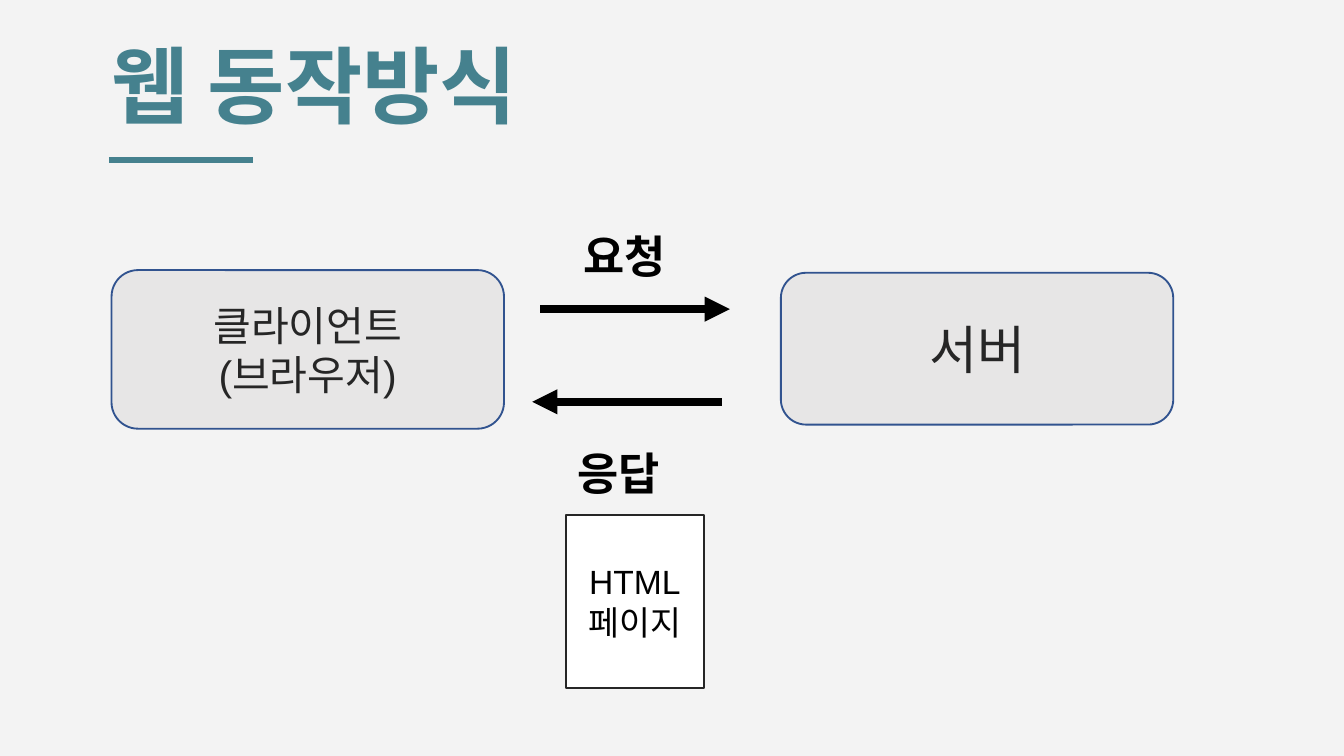
from lxml.etree import SubElement
from pptx import Presentation
from pptx.dml.color import RGBColor
from pptx.enum.shapes import MSO_CONNECTOR, MSO_SHAPE
from pptx.enum.text import MSO_ANCHOR, MSO_AUTO_SIZE, PP_ALIGN
from pptx.oxml.ns import qn
from pptx.util import Inches, Pt

# Content
TEAL, BLACK, DARK = "45818E", "000000", "262626"
TITLE, TITLE_FONT = "웹 동작방식", "Noto Sans CJK KR"

# lines, (left, top, width, height), preset, fill, outline, text size, text colour
BOXES = [
    (["클라이언트", "(브라우저)"], (0.83, 2.01, 2.92, 1.18),
     MSO_SHAPE.ROUNDED_RECTANGLE, "E7E6E6", "31538F", 22, DARK),
    (["서버"], (5.81, 2.03, 2.92, 1.13),
     MSO_SHAPE.ROUNDED_RECTANGLE, "E7E6E6", "31538F", 28, DARK),
    (["HTML", "페이지"], (4.21, 3.83, 1.03, 1.29),
     MSO_SHAPE.RECTANGLE, "FFFFFF", DARK, 18, BLACK),
]
# start x, end x, y
ARROWS = [(4.02, 5.43, 2.3), (5.37, 3.96, 2.99)]
# text, left, top
LABELS = [("요청", 4.24, 1.65), ("응답", 4.2, 3.27)]


def color(hex_string):
    return RGBColor.from_string(hex_string)


def style(paragraph, font_name, size, hex_string, bold=False):
    font = paragraph.font
    font.name, font.size, font.bold = font_name, Pt(size), bold
    font.color.rgb = color(hex_string)


def add_line(slide, start_x, end_x, y, hex_string, width, arrow=False):
    line = slide.shapes.add_connector(
        MSO_CONNECTOR.STRAIGHT, Inches(start_x), Inches(y), Inches(end_x), Inches(y))
    line.line.color.rgb = color(hex_string)
    line.line.width = Pt(width)
    properties = line._element.spPr
    if arrow:
        SubElement(properties.find(qn("a:ln")), qn("a:tailEnd"), type="triangle")
    SubElement(properties, qn("a:effectLst"))


def add_box(slide, lines, place, preset, fill, outline, size, text_color):
    box = slide.shapes.add_shape(preset, *map(Inches, place))
    box.shadow.inherit = False
    box.fill.solid()
    box.fill.fore_color.rgb = color(fill)
    box.line.color.rgb = color(outline)
    box.line.width = Pt(1)
    frame = box.text_frame
    frame.vertical_anchor = MSO_ANCHOR.MIDDLE
    frame.text = "\n".join(lines)
    for paragraph in frame.paragraphs:
        paragraph.alignment = PP_ALIGN.CENTER
        style(paragraph, "Arial", size, text_color)


def add_label(slide, text, left, top):
    label = slide.shapes.add_textbox(Inches(left), Inches(top), Inches(1.13), Inches(0.5))
    frame = label.text_frame
    frame.word_wrap = True
    frame.auto_size = MSO_AUTO_SIZE.SHAPE_TO_FIT_TEXT
    frame.text = text
    style(frame.paragraphs[0], "Calibri", 24, BLACK, bold=True)


def add_title(slide):
    title = slide.shapes.title
    title.left, title.top, title.width, title.height = map(Inches, (0.73, 0.15, 7.5, 0.84))
    frame = title.text_frame
    frame.text = TITLE
    frame.auto_size = MSO_AUTO_SIZE.NONE
    frame.vertical_anchor = MSO_ANCHOR.TOP
    frame.margin_left = frame.margin_right = Inches(0.1)
    frame.margin_top = frame.margin_bottom = Inches(0.1)
    paragraph = frame.paragraphs[0]
    paragraph.alignment = PP_ALIGN.LEFT
    style(paragraph, TITLE_FONT, 45, TEAL, bold=True)
    # East Asian typeface for the Korean letters
    SubElement(paragraph.font._element, qn("a:ea"), typeface=TITLE_FONT)


def main():
    presentation = Presentation()
    presentation.slide_width = Inches(10)
    presentation.slide_height = Inches(10 * 9 / 16)
    slide = presentation.slides.add_slide(presentation.slide_layouts[5])
    slide.background.fill.solid()
    slide.background.fill.fore_color.rgb = color("F3F3F3")

    # Title and its underline
    add_line(slide, 0.81, 1.88, 1.19, TEAL, 3)
    add_title(slide)

    # Request and response diagram
    for box in BOXES:
        add_box(slide, *box)
    for arrow in ARROWS:
        add_line(slide, *arrow, BLACK, 4.5, arrow=True)
    for label in LABELS:
        add_label(slide, *label)

    presentation.save("out.pptx")


if __name__ == "__main__":
    main()
